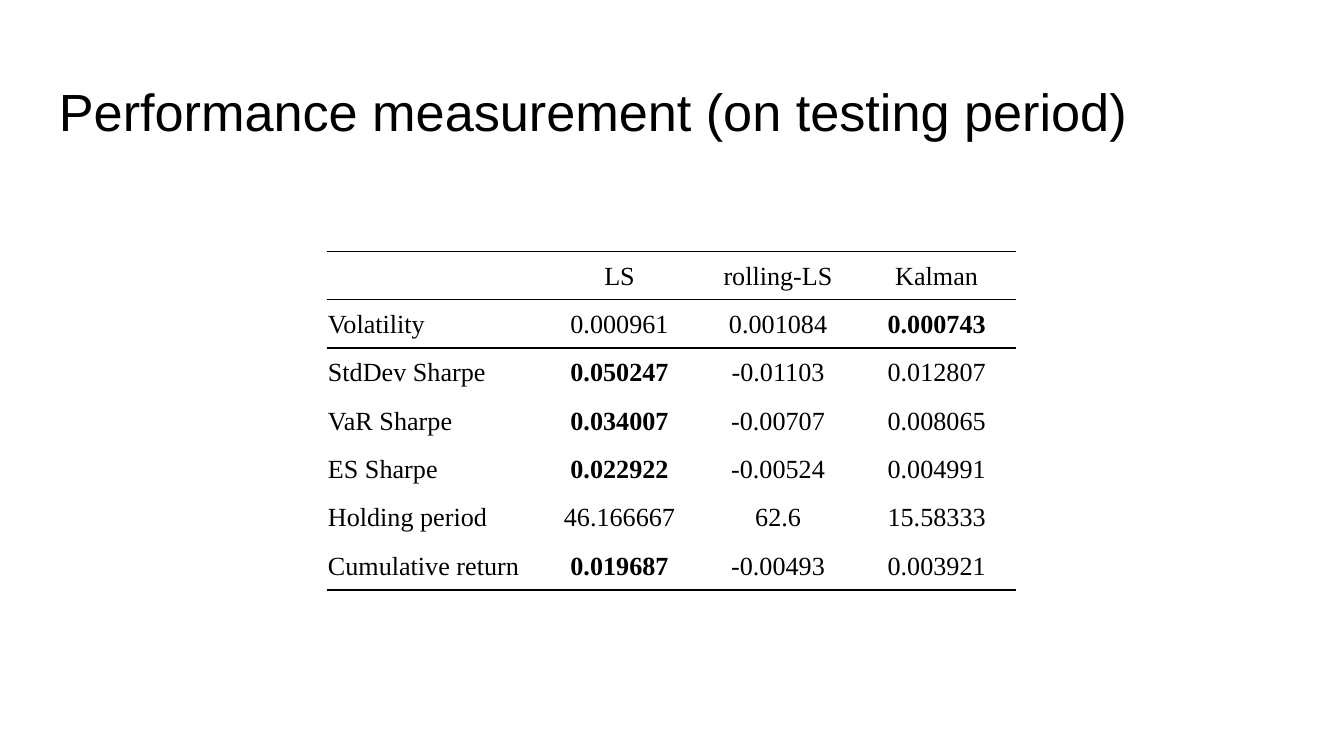
from lxml import etree
from pptx import Presentation
from pptx.dml.color import RGBColor
from pptx.enum import text
from pptx.oxml import ns
from pptx.util import Inches, Pt

BLACK = RGBColor(0, 0, 0)
PLAIN = "{2D5ABB26-0587-4C30-8999-92F81FD0307C}"  # no style, no grid

ROWS = [
    ("", "LS", "rolling-LS", "Kalman"),
    ("Volatility", "0.000961", "0.001084", "0.000743"),
    ("StdDev Sharpe", "0.050247", "-0.01103", "0.012807"),
    ("VaR Sharpe", "0.034007", "-0.00707", "0.008065"),
    ("ES Sharpe", "0.022922", "-0.00524", "0.004991"),
    ("Holding period", "46.166667", "62.6", "15.58333"),
    ("Cumulative return", "0.019687", "-0.00493", "0.003921"),
]
BEST = {(1, 3), (2, 1), (3, 1), (4, 1), (6, 1)}  # row, column
RULES = {0: ("T", "B"), 1: ("T",), 6: ("B",)}


def style(para, face, size, bold=False):
    font = para.font
    font.name, font.size, font.bold = face, Pt(size), bold
    font.color.rgb = BLACK


def add_title(slide, words):
    box = slide.shapes.add_textbox(
        Inches(0.34), Inches(0.49), Inches(9.32), Inches(0.63))
    frame = box.text_frame
    frame.word_wrap = True
    frame.margin_left = frame.margin_right = Inches(0.1)
    frame.margin_top = frame.margin_bottom = Inches(0.1)
    frame.text = words
    style(frame.paragraphs[0], "Arial", 28)


def add_rule(cell, side):
    props = cell._tc.get_or_add_tcPr()
    line = etree.SubElement(props, ns.qn(f"a:ln{side}"), w=str(Pt(1)))
    fill = etree.SubElement(line, ns.qn("a:solidFill"))
    etree.SubElement(fill, ns.qn("a:srgbClr"), val=str(BLACK))


def fill_cell(cell, words, row, col):
    cell.margin_left = cell.margin_right = cell.margin_top = Inches(0.01)
    cell.margin_bottom = 0
    cell.vertical_anchor = text.MSO_ANCHOR.MIDDLE
    cell.text = words
    para = cell.text_frame.paragraphs[0]
    para.alignment = text.PP_ALIGN.CENTER if col else text.PP_ALIGN.LEFT
    style(para, "Times New Roman", 14, (row, col) in BEST)
    # Borders come before the fill in the cell properties
    for side in RULES.get(row, ()):
        add_rule(cell, side)
    cell.fill.background()


def add_grid(slide):
    frame = slide.shapes.add_table(
        len(ROWS), len(ROWS[0]),
        Inches(2.43), Inches(1.87), Inches(5.13), Inches(2.52))
    grid = frame.table
    grid._tbl.tblPr.find(ns.qn("a:tableStyleId")).text = PLAIN
    grid.first_row = grid.horz_banding = False
    for col, width in zip(grid.columns, (1.59, 1.18, 1.18, 1.18)):
        col.width = Inches(width)
    for r, row in enumerate(ROWS):
        grid.rows[r].height = Inches(0.36)
        for c, words in enumerate(row):
            fill_cell(grid.cell(r, c), words, r, c)


def main():
    deck = Presentation()
    deck.slide_width = Inches(10)
    deck.slide_height = deck.slide_width * 9 // 16
    slide = deck.slides.add_slide(deck.slide_layouts[6])
    # Heading
    add_title(slide, "Performance measurement (on testing period)")
    # Results by method
    add_grid(slide)
    deck.save("out.pptx")


if __name__ == "__main__":
    main()
